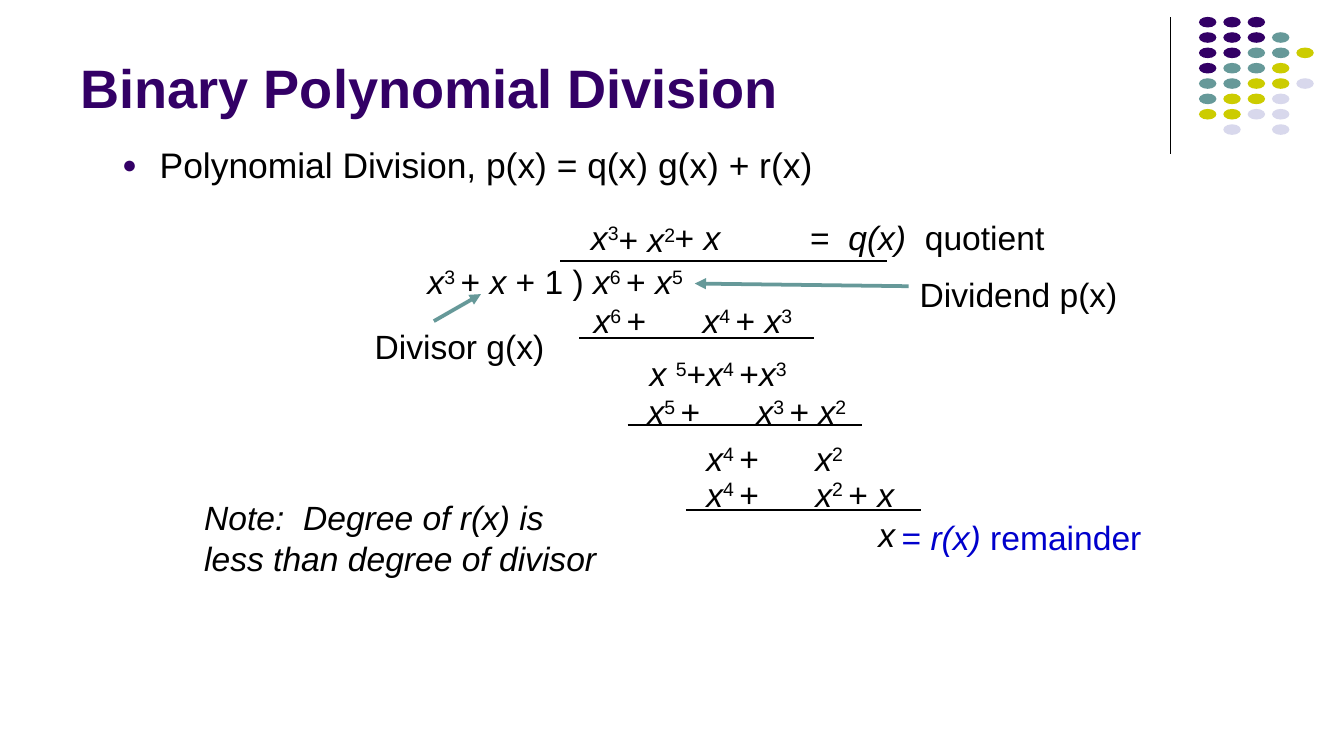
from lxml import etree
from pptx import Presentation
from pptx.dml.color import RGBColor
from pptx.enum.shapes import MSO_CONNECTOR, MSO_SHAPE
from pptx.enum.text import MSO_ANCHOR
from pptx.oxml.ns import qn
from pptx.util import Cm, Pt

STRAIGHT = MSO_CONNECTOR.STRAIGHT
OVAL = MSO_SHAPE.OVAL
TOP, BOTTOM = MSO_ANCHOR.TOP, MSO_ANCHOR.BOTTOM

COLORS = {"purple": "330066", "teal": "669999", "olive": "CCCC00",
          "lilac": "D8D8EC", "black": "000000", "blue": "0000CC"}
FONT = "Arial"

# Runs are separated by "|"; "/" starts an italic run, "^" a superscript.
TITLE = "Binary Polynomial Division"
BULLET = "Polynomial Division, p(x) = q(x) g(x) + r(x)"
NOTE = "/Note:  Degree of r(x) is less than degree of divisor"

# text, left, top, width, colour
TERMS = [
    ("/x|^3", 10.99, 4.01, 0.91, "black"),
    ("+ |/x|^2", 11.51, 4.04, 1.45, "black"),
    ("+ |/x", 12.57, 4.01, 1.24, "black"),
    ("=  |/q(x)|  quotient", 15.13, 4.01, 4.8, "black"),
    ("/x|^3 |+ |/x |+ 1 ) |/x|^6 |+ |/x|^5", 7.9, 4.83, 5.4, "black"),
    ("Dividend p(x)", 17.2, 5.08, 4.11, "black"),
    ("/x|^6 |+\t|/x|^4 |+ |/x|^3", 11.04, 5.57, 4.6, "black"),
    ("Divisor g(x)", 6.9, 6.07, 3.58, "black"),
    ("/x |^5|+|/x|^4 |+|/x|^3", 12.1, 6.58, 3.2, "black"),
    ("/x|^5 |+\t|/x|^3 |+ |/x|^2", 12.06, 7.29, 4.6, "black"),
    ("/x|^4 |+\t|/x|^2", 13.17, 8.17, 3.2, "black"),
    ("/x|^4 |+\t|/x|^2 |+ |/x", 13.17, 8.85, 4.4, "black"),
    ("/x", 16.42, 9.62, 0.69, "black"),
    ("= |/r(x)| remainder", 16.86, 9.68, 4.9, "blue"),
]
TERM_HEIGHT = 0.94
TERM_TAB = 2.06

# left, top, length of the rules in the long division
RULES = [(10.59, 4.93, 6.17), (10.95, 6.39, 4.44),
         (11.86, 8.03, 4.44), (12.96, 9.64, 4.44)]
ARROWS = [(8.2, 6.07, 9.09, 5.56), (17.17, 5.41, 13.13, 5.36)]

DOT_COLORS = {"p": "purple", "t": "teal", "o": "olive", "l": "lilac"}
DOT_ROWS = ["ppp", "pppt", "pptto", "ptto", "ttool", "tool", "ooll", " l l"]
DOT_LEFT, DOT_TOP, DOT_DX, DOT_DY = 22.66, 0.32, 0.46, 0.29
DOT_W, DOT_H = 0.33, 0.2


def rgb(name):
    return RGBColor.from_string(COLORS[name])


def add_line(shapes, x1, y1, x2, y2, color="black", width=1, arrow=False):
    line = shapes.add_connector(STRAIGHT, Cm(x1), Cm(y1), Cm(x2), Cm(y2))
    line.line.color.rgb = rgb(color)
    line.line.width = Pt(width)
    if arrow:
        etree.SubElement(line.line._get_or_add_ln(), qn("a:tailEnd"), type="triangle")
    etree.SubElement(line._element.spPr, qn("a:effectLst"))


def add_text(shapes, text, box, size=18, color="black", bold=False,
             inset=(0.25, 0.13), wrap=True, anchor=TOP):
    sp = shapes.add_textbox(*map(Cm, box))
    tf = sp.text_frame
    dx, dy = map(Cm, inset)
    frame = {"word_wrap": wrap, "vertical_anchor": anchor, "margin_left": dx,
             "margin_right": dx, "margin_top": dy, "margin_bottom": dy}
    for name, value in frame.items():
        setattr(tf, name, value)
    p = tf.paragraphs[0]
    for part in text.split("|"):
        r = p.add_run()
        r.text = part.lstrip("/^")
        style = {"name": FONT, "size": Pt(size), "bold": bold,
                 "italic": part.startswith("/")}
        for name, value in style.items():
            setattr(r.font, name, value)
        r.font.color.rgb = rgb(color)
        if part.startswith("^"):
            r.font._element.set("baseline", "30000")
    return p


def add_tab_stop(p, pos):
    tabs = etree.SubElement(p._p.get_or_add_pPr(), qn("a:tabLst"))
    etree.SubElement(tabs, qn("a:tab"), pos=str(Cm(pos)), algn="l")


def add_bullet(p, indent, color, percent):
    pPr = p._p.get_or_add_pPr()
    pPr.set("marL", str(Cm(indent)))
    pPr.set("indent", str(-Cm(indent)))
    clr = etree.SubElement(pPr, qn("a:buClr"))
    etree.SubElement(clr, qn("a:srgbClr"), val=COLORS[color])
    etree.SubElement(pPr, qn("a:buSzPct"), val=str(percent * 1000))
    etree.SubElement(pPr, qn("a:buFont"), typeface=FONT)
    etree.SubElement(pPr, qn("a:buChar"), char="●")


def add_dots(shapes):
    for row, codes in enumerate(DOT_ROWS):
        for col, code in enumerate(codes):
            if code == " ":
                continue
            dot = shapes.add_shape(OVAL, Cm(DOT_LEFT + col * DOT_DX),
                                   Cm(DOT_TOP + row * DOT_DY), Cm(DOT_W), Cm(DOT_H))
            dot.shadow.inherit = False
            dot.fill.solid()
            dot.fill.fore_color.rgb = rgb(DOT_COLORS[code])
            dot.line.fill.background()


def main():
    prs = Presentation()
    prs.slide_width, prs.slide_height = Cm(25.4), Cm(14.29)
    shapes = prs.slides.add_slide(prs.slide_layouts[6]).shapes

    add_line(shapes, 22.12, 0.33, 22.12, 2.92, width=0.75)
    add_dots(shapes)
    add_text(shapes, TITLE, (1.27, 0.25, 20.96, 2.13), 29, "purple",
             bold=True, anchor=BOTTOM)

    p = add_text(shapes, BULLET, (2.06, 2.67, 19.2, 1.04), 19)
    p.line_spacing = 0.9
    p.space_before = Pt(4.8)
    add_bullet(p, 0.71, "purple", 70)

    for left, top, length in RULES:
        add_line(shapes, left, top, left + length, top)
    for text, left, top, width, color in TERMS:
        # Rows with a tab get a fixed width, so that the stop is measured from the left edge.
        tabbed = "\t" in text
        p = add_text(shapes, text, (left, top, width, TERM_HEIGHT), color=color,
                     inset=(0.18, 0.1), wrap=tabbed)
        if tabbed:
            add_tab_stop(p, TERM_TAB)
    for ends in ARROWS:
        add_line(shapes, *ends, color="teal", width=2, arrow=True)
    add_text(shapes, NOTE, (3.61, 9.27, 8.03, 1.78))

    prs.save("out.pptx")


if __name__ == "__main__":
    main()
